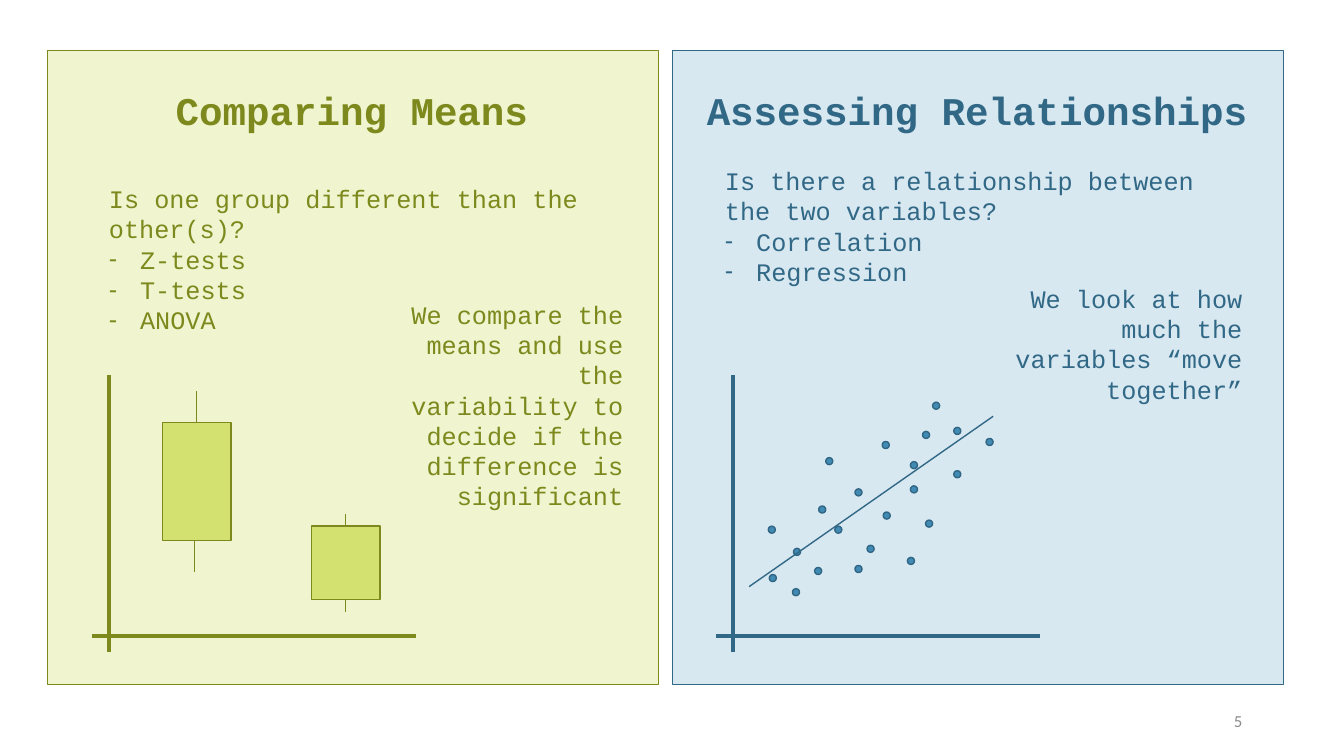
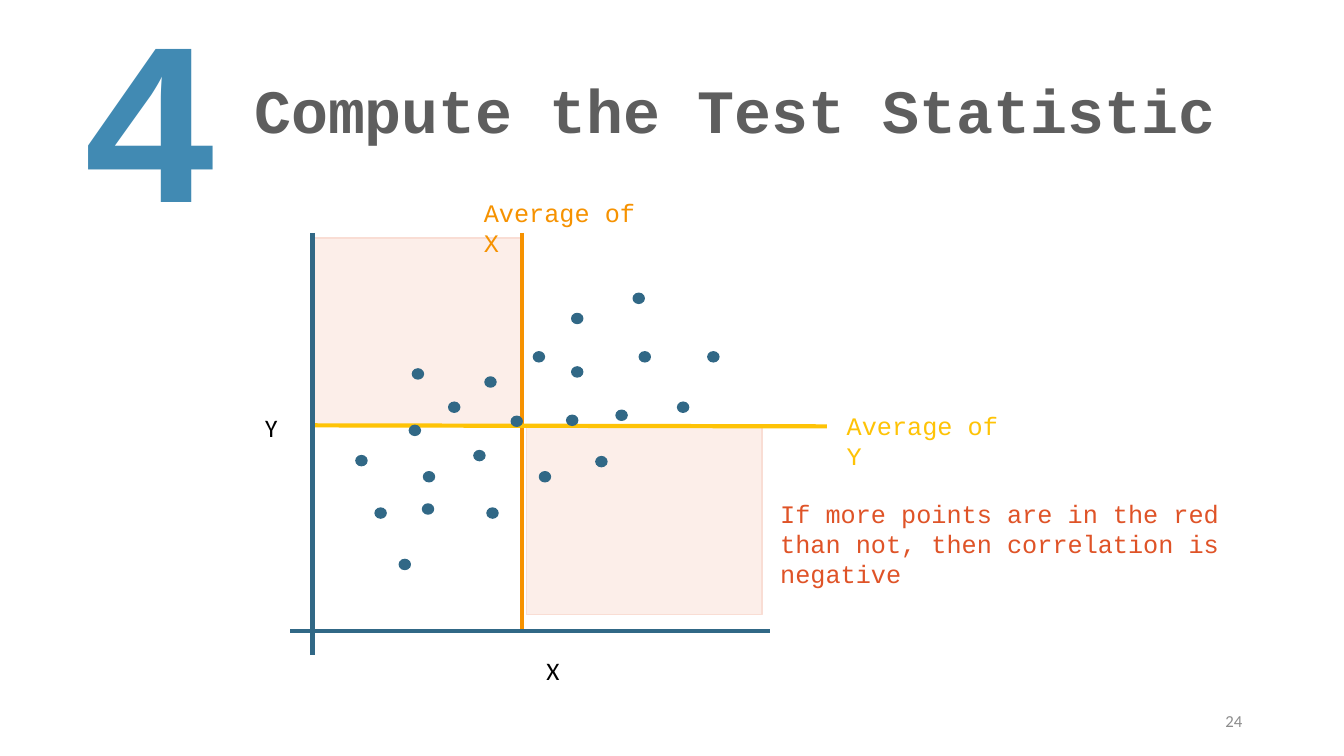
from lxml.etree import SubElement
from pptx import Presentation
from pptx.dml.color import RGBColor
from pptx.enum.shapes import MSO_CONNECTOR, MSO_SHAPE
from pptx.enum.text import MSO_ANCHOR, MSO_AUTO_SIZE, PP_ALIGN
from pptx.oxml.ns import qn
from pptx.util import Emu, Pt

PX = 9144
BLUE, BRIGHT_BLUE, PALE_BLUE, DOT_EDGE = "316886", "418AB3", "D8E8F1", "306684"
GREEN, LIGHT_GREEN, PALE_GREEN = "7D891D", "D3E171", "F0F5D0"
ORANGE, YELLOW, RED, PINK = "F69200", "FEC306", "DF5327", "F9DDD4"
GREY, PALE_GREY, BLACK = "5E5E5E", "8C8C8C", "000000"

MONO = {"name": "Courier New", "size": Pt(18), "bold": False}
HEADING = {**MONO, "size": Pt(28), "bold": True}
TITLE = {**MONO, "size": Pt(44), "bold": True}
NUMERAL = {**MONO, "size": Pt(166), "bold": True}
AXIS_LABEL = {**MONO, "name": "Calibri"}
FOOTER = {**AXIS_LABEL, "size": Pt(12)}

RELATION_DOTS = [
    (763, 570), (786, 584), (762, 522), (787, 544), (808, 563), (848, 561),
    (828, 522), (812, 502), (848, 485), (876, 508), (860, 541), (903, 482),
    (903, 458), (918, 516), (875, 438), (946, 467), (915, 428), (946, 424),
    (978, 435), (900, 553), (819, 454), (925, 399),
]
STATISTIC_DOTS = [
    (372, 504), (409, 366), (419, 500), (406, 422), (445, 399), (420, 468),
    (470, 447), (353, 452), (507, 413), (481, 374), (535, 468), (529, 349),
    (562, 412), (567, 364), (483, 504), (396, 555), (567, 311), (611, 407),
    (591, 453), (634, 349), (628, 291), (672, 399), (702, 349),
]


def px(n):
    return Emu(n * PX)


def rgb(color):
    return RGBColor.from_string(color)


def place(sp, box):
    for side, n in zip(("left", "top", "width", "height"), box):
        setattr(sp, side, px(n))


def set_bullet(p, char):
    pPr = p._p.get_or_add_pPr()
    indent = px(31) if char else 0
    pPr.set("marL", str(indent))
    pPr.set("indent", str(-indent))
    if char:
        SubElement(pPr, qn("a:buChar")).set("char", char)
    else:
        SubElement(pPr, qn("a:buNone"))


def write(sp, box, lines, style, color, align=PP_ALIGN.LEFT,
          anchor=MSO_ANCHOR.TOP, spacing=1.0):
    place(sp, box)
    tf = sp.text_frame
    tf.word_wrap = True
    tf.auto_size = MSO_AUTO_SIZE.NONE
    tf.vertical_anchor = anchor
    for i, line in enumerate(lines):
        p = tf.add_paragraph() if i else tf.paragraphs[0]
        set_bullet(p, "-" if i else None)
        layout = {"alignment": align, "line_spacing": spacing, "space_before": Pt(0)}
        for name, value in layout.items():
            setattr(p, name, value)
        r = p.add_run()
        r.text = line
        for name, value in style.items():
            setattr(r.font, name, value)
        r.font.color.rgb = rgb(color)


def label(s, box, text, style, color, **layout):
    write(s.shapes.add_textbox(0, 0, 0, 0), box, [text], style, color, **layout)


def page_number(s, n):
    label(s, (942, 695, 300, 40), str(n), FOOTER, PALE_GREY,
          align=PP_ALIGN.RIGHT, anchor=MSO_ANCHOR.MIDDLE)


def shape(s, kind, box, fill, edge, alpha=None):
    sp = s.shapes.add_shape(kind, *map(px, box))
    sp.shadow.inherit = False
    sp.fill.solid()
    sp.fill.fore_color.rgb = rgb(fill)
    sp.line.color.rgb = rgb(edge)
    sp.line.width = Pt(1)
    if alpha:
        clr = sp._element.spPr.find(qn("a:solidFill")).find(qn("a:srgbClr"))
        SubElement(clr, qn("a:alpha")).set("val", str(alpha * 1000))
    return sp


def line(s, x1, y1, x2, y2, color, width=3):
    c = s.shapes.add_connector(MSO_CONNECTOR.STRAIGHT, *map(px, (x1, y1, x2, y2)))
    c.line.color.rgb = rgb(color)
    c.line.width = Pt(width)
    SubElement(c._element.spPr, qn("a:effectLst"))


def axes(s, x, top, bottom, left, right, base, color):
    line(s, x, top, x, bottom, color)
    line(s, left, base, right, base, color)


def scatter(s, points, w, h, fill, edge):
    for x, y in points:
        shape(s, MSO_SHAPE.OVAL, (x, y, w, h), fill, edge)


def box_plot(s, x, y, h, whisker, low_x):
    w = 68
    shape(s, MSO_SHAPE.RECTANGLE, (x, y, w, h), LIGHT_GREEN, GREEN)
    line(s, x + w // 2, y - whisker, x + w // 2, y, GREEN, 0.5)
    line(s, low_x, y + h, low_x, y + h + whisker, GREEN, 0.5)


def panel(s, x, fill, color, heading, title, body, body_box, lines, note_box, note, axis_x):
    sp = shape(s, MSO_SHAPE.RECTANGLE, (x, 50, 606, 629), fill, color)
    s.shapes._spTree.insert(2, sp._element)
    write(heading, (x + 18, 81, 568, 57), [title], HEADING, color, align=PP_ALIGN.CENTER)
    write(body, body_box, lines, MONO, color)
    label(s, note_box, note, MONO, color, align=PP_ALIGN.RIGHT)
    axes(s, axis_x, 372, 647, axis_x - 17, axis_x + 305, 631, color)


def methods_slide(prs):
    s = prs.slides.add_slide(prs.slide_layouts.get_by_name("Comparison"))
    title, left_head, left_body, right_head, right_body = list(s.placeholders)[:5]
    title._element.getparent().remove(title._element)
    panel(s, 47, PALE_GREEN, GREEN, left_head, "Comparing Means",
          left_body, (98, 177, 536, 162),
          ["Is one group different than the other(s)?", "Z-tests", "T-tests", "ANOVA"],
          (398, 292, 230, 192),
          "We compare the means and use the variability to decide if the difference is significant",
          108)
    box_plot(s, 161, 419, 117, 31, 193)
    box_plot(s, 309, 522, 73, 12, 343)
    panel(s, 667, PALE_BLUE, BLUE, right_head, "Assessing Relationships",
          right_body, (709, 159, 536, 131),
          ["Is there a relationship between the two variables?", "Correlation", "Regression"],
          (991, 276, 251, 131),
          "We look at how much the variables “move together”", 727)
    scatter(s, RELATION_DOTS, 7, 7, BRIGHT_BLUE, DOT_EDGE)
    line(s, 985, 413, 743, 582, BLUE, 1)
    page_number(s, 5)


def statistic_slide(prs):
    s = prs.slides.add_slide(prs.slide_layouts.get_by_name("Title Only"))
    write(s.shapes.title, (242, 40, 1000, 145), ["Compute the Test Statistic"],
          TITLE, GREY, anchor=MSO_ANCHOR.MIDDLE, spacing=0.9)
    label(s, (70, -35, 148, 289), "4", NUMERAL, BRIGHT_BLUE)
    for quadrant in ((310, 236, 209, 186), (522, 424, 234, 186)):
        shape(s, MSO_SHAPE.RECTANGLE, quadrant, PINK, PINK, alpha=49)
    line(s, 518, 231, 518, 626, ORANGE)
    line(s, 310, 422, 820, 423, YELLOW)
    axes(s, 310, 231, 650, 288, 764, 626, BLUE)
    scatter(s, STATISTIC_DOTS, 11, 10, BLUE, BLUE)
    for box, text, style, color in (
        ((830, 402, 186, 40), "Average of Y", MONO, YELLOW),
        ((470, 191, 186, 40), "Average of X", MONO, ORANGE),
        ((253, 404, 32, 40), "Y", AXIS_LABEL, BLACK),
        ((532, 645, 33, 40), "X", AXIS_LABEL, BLACK),
        ((764, 489, 525, 71),
         "If more points are in the red than not, then correlation is negative", MONO, RED),
    ):
        label(s, box, text, style, color)
    page_number(s, 24)


def main():
    prs = Presentation()
    prs.slide_width, prs.slide_height = px(1333), px(750)
    methods_slide(prs)
    statistic_slide(prs)
    prs.save("out.pptx")


if __name__ == "__main__":
    main()
